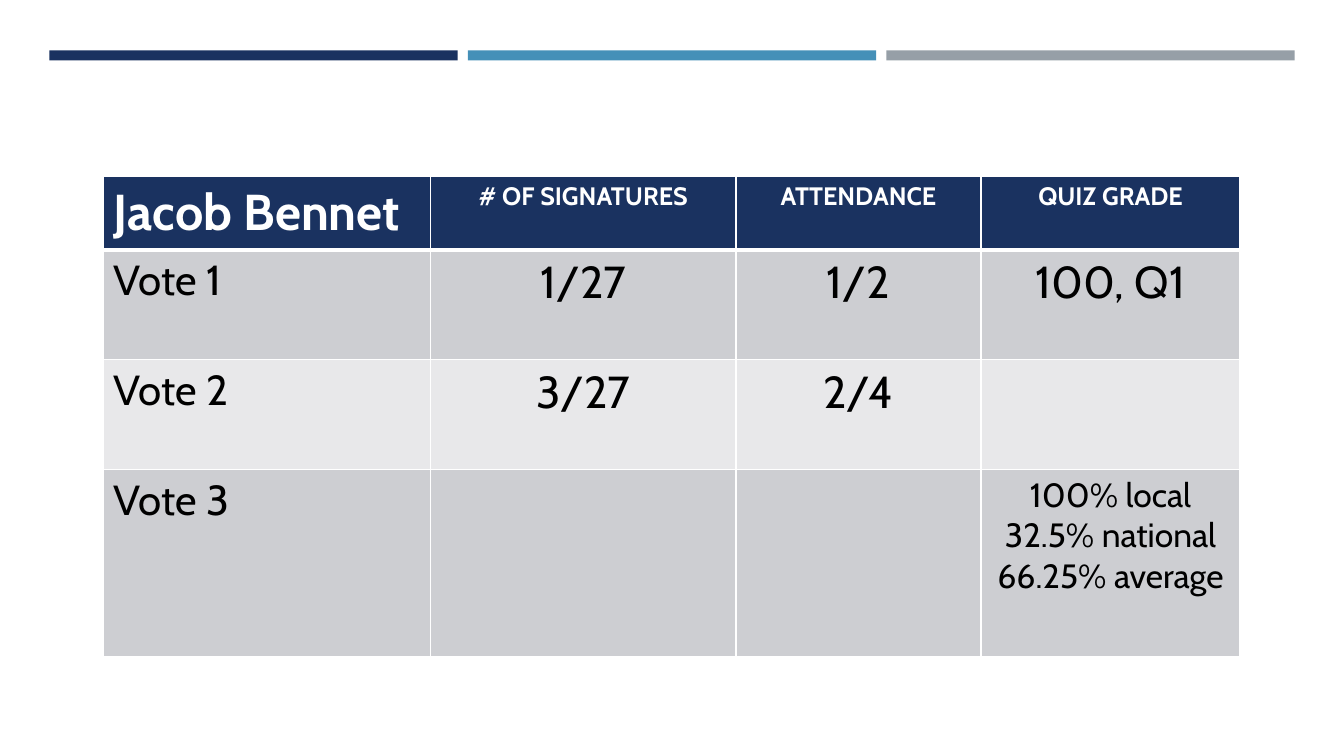
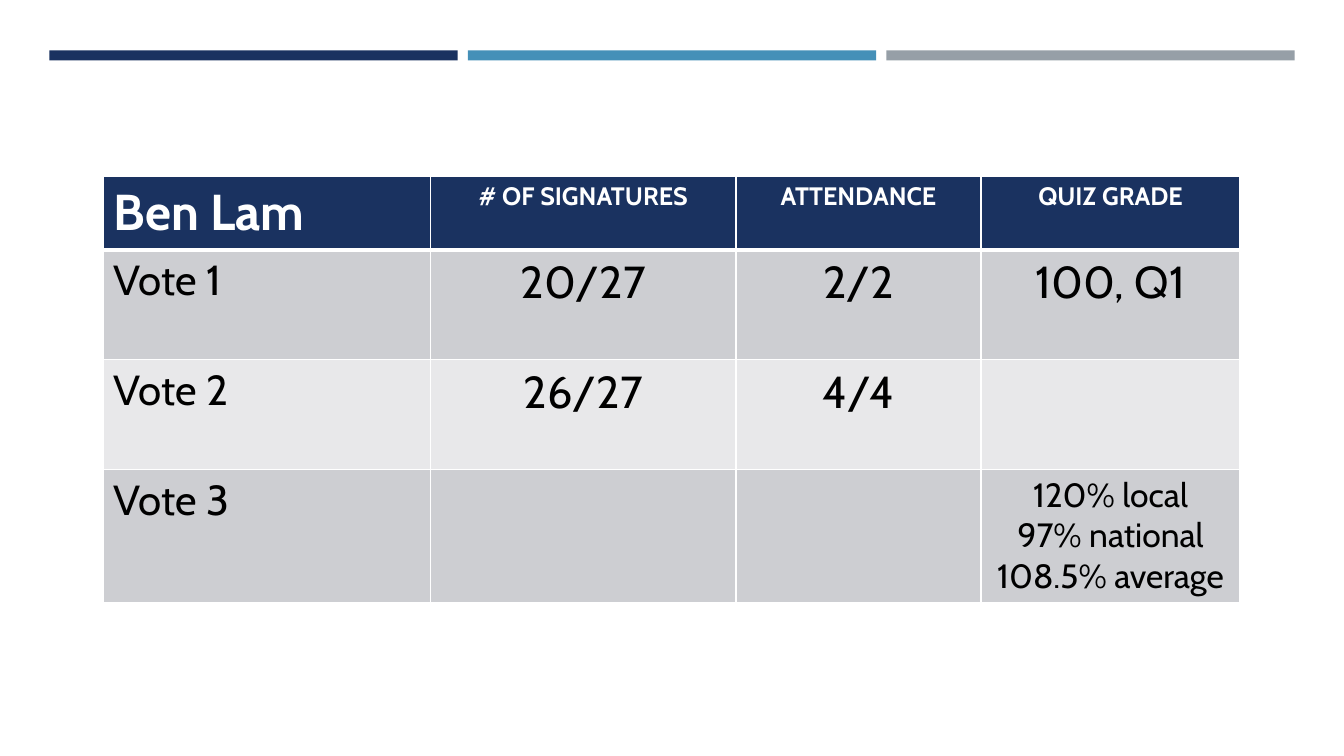
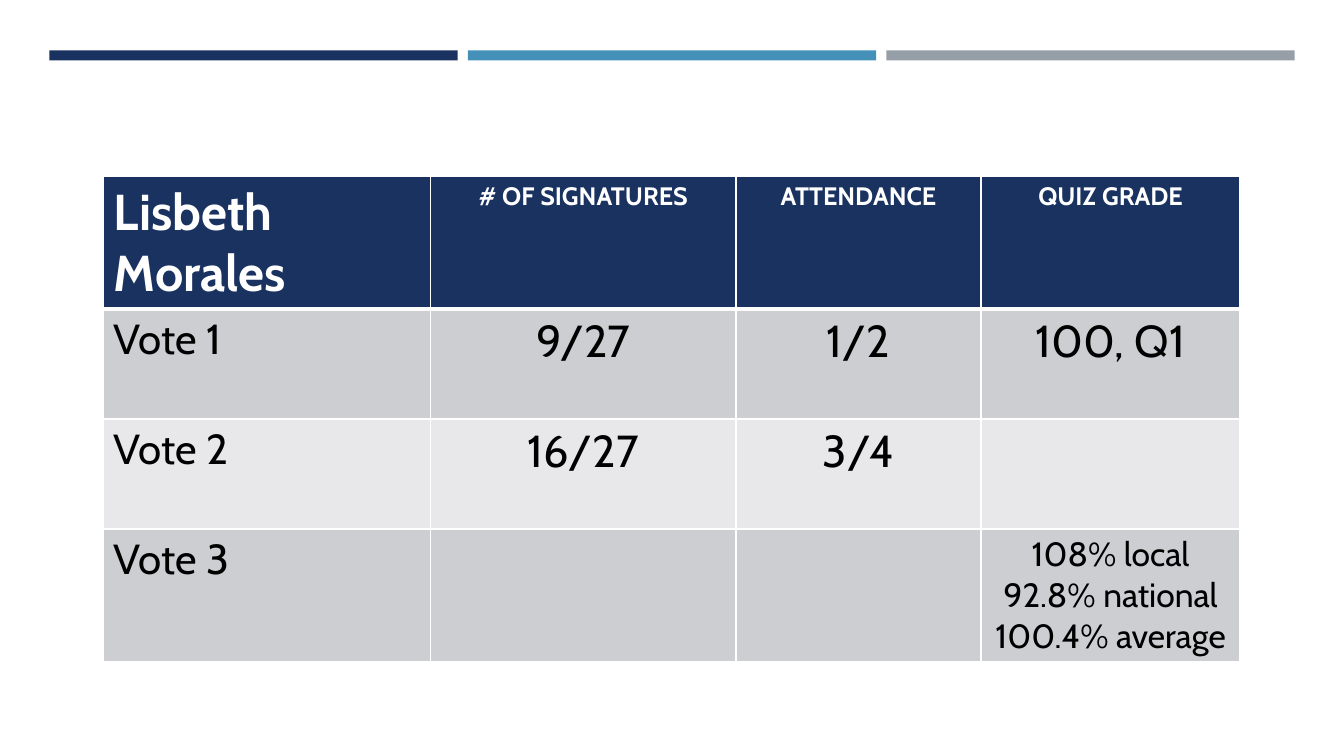
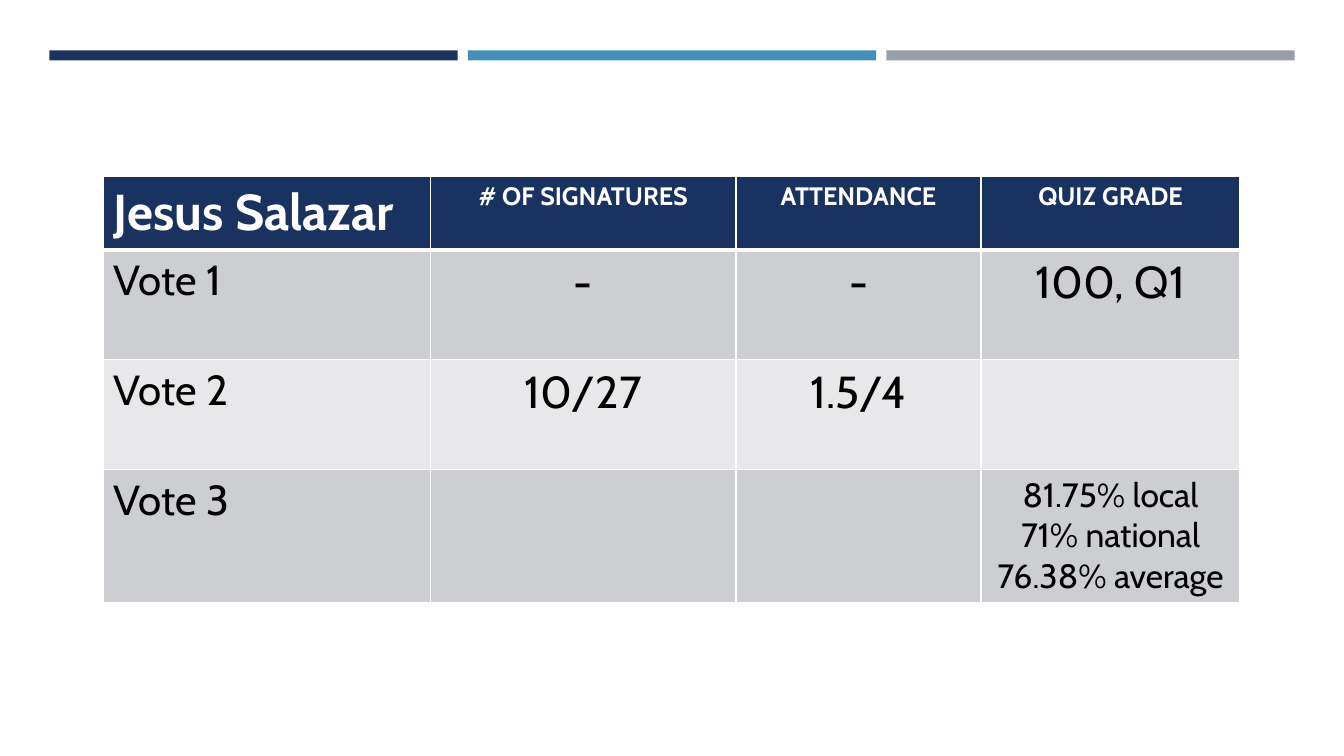
import pptx
import pptx.util
import pptx.dml.color
import pptx.enum.shapes
import pptx.enum.text
import pptx.oxml
import pptx.oxml.ns

Inches = pptx.util.Inches
Pt = pptx.util.Pt
RGBColor = pptx.dml.color.RGBColor

COLORS = {
    "navy": "1A3260",
    "blue": "4590B8",
    "gray": "969FA7",
    "dark_row": "CDCED2",
    "light_row": "E8E8EA",
    "white": "FFFFFF",
    "black": "000000",
}
FONT = "Cabin"
BANDS = ["navy", "blue", "gray"]
BAND_WIDTH = 4.05
BAND_GAP = 0.1
COLUMN_WIDTHS = [3.24, 3.03, 2.43, 2.57]
VOTE_HEIGHT = 1.09
HEADINGS = ["# OF SIGNATURES", "ATTENDANCE", "QUIZ GRADE"]
ROW_FILLS = ["navy", "dark_row", "light_row", "dark_row"]

# One record per member: the vote cells, then the quiz results
MEMBERS = [
    {"name": "Jacob Bennet", "vote_1": ["1/27", "1/2"], "vote_2": ["3/27", "2/4"],
     "quiz": "100% local\n32.5% national\n66.25% average",
     "header_height": 0.73, "quiz_height": 1.85},
    {"name": "Ben Lam", "vote_1": ["20/27", "2/2"], "vote_2": ["26/27", "4/4"],
     "quiz": "120% local\n97% national\n108.5% average",
     "header_height": 0.73, "quiz_height": 1.31},
    {"name": "Lisbeth Morales", "vote_1": ["9/27", "1/2"], "vote_2": ["16/27", "3/4"],
     "quiz": "108% local\n92.8% national\n100.4% average",
     "header_height": 1.3, "quiz_height": 1.31},
    {"name": "Jesus Salazar", "vote_1": ["-", "-"], "vote_2": ["10/27", "1.5/4"],
     "quiz": "81.75% local\n71% national\n76.38% average",
     "header_height": 0.73, "quiz_height": 1.31},
]


def add_borders(cell, widths):
    """Give a cell white borders; widths maps each side to points."""
    properties = cell._tc.get_or_add_tcPr()
    for side, width in widths.items():
        properties.append(pptx.oxml.parse_xml(
            f'<a:ln{side} {pptx.oxml.ns.nsdecls("a")} w="{Pt(width)}"><a:solidFill>'
            f'<a:srgbClr val="{COLORS["white"]}"/></a:solidFill></a:ln{side}>'))


def fill_cell(cell, text, size, row, column):
    """Set fill, borders and formatted text of one table cell."""
    add_borders(cell, {"L": 1, "R": 1, "T": 3 if row == 1 else 1, "B": 3 if row == 0 else 1})
    cell.fill.solid()
    cell.fill.fore_color.rgb = RGBColor.from_string(COLORS[ROW_FILLS[row]])
    if not text:
        return
    cell.text = text
    font_values = {"name": FONT, "size": Pt(size), "bold": row == 0}
    for paragraph in cell.text_frame.paragraphs:
        if column > 0:
            paragraph.alignment = pptx.enum.text.PP_ALIGN.CENTER
        for run in paragraph.runs:
            for attribute, value in font_values.items():
                setattr(run.font, attribute, value)
            color = COLORS["white" if row == 0 else "black"]
            run.font.color.rgb = RGBColor.from_string(color)


presentation = pptx.Presentation()
presentation.slide_width = Inches(13.33)
presentation.slide_height = Inches(7.5)
layout = presentation.slide_layouts[6]

for member in MEMBERS:
    slide = presentation.slides.add_slide(layout)

    # Three colour bands
    for index, name in enumerate(BANDS):
        band = slide.shapes.add_shape(
            pptx.enum.shapes.MSO_SHAPE.RECTANGLE,
            Inches(0.49 + index * (BAND_WIDTH + BAND_GAP)), Inches(0.5),
            Inches(BAND_WIDTH), Inches(0.1))
        band.shadow.inherit = False
        band.fill.solid()
        band.fill.fore_color.rgb = RGBColor.from_string(COLORS[name])
        band.line.fill.background()

    # Score table
    rows = [
        [member["name"], *HEADINGS],
        ["Vote 1", *member["vote_1"], "100, Q1"],
        ["Vote 2", *member["vote_2"], ""],
        ["Vote 3", "", "", member["quiz"]],
    ]
    heights = [member["header_height"], VOTE_HEIGHT, VOTE_HEIGHT, member["quiz_height"]]
    table = slide.shapes.add_table(
        len(rows), len(COLUMN_WIDTHS), Inches(1.03), Inches(1.75),
        Inches(sum(COLUMN_WIDTHS)), Inches(sum(heights))).table
    for column, width in enumerate(COLUMN_WIDTHS):
        table.columns[column].width = Inches(width)
    for row, texts in enumerate(rows):
        table.rows[row].height = Inches(heights[row])
        label_size, value_size = (36, 18) if row == 0 else (30, 24 if row == 3 else 32)
        for column, text in enumerate(texts):
            size = label_size if column == 0 else value_size
            fill_cell(table.cell(row, column), text, size, row, column)

presentation.save("out.pptx")
